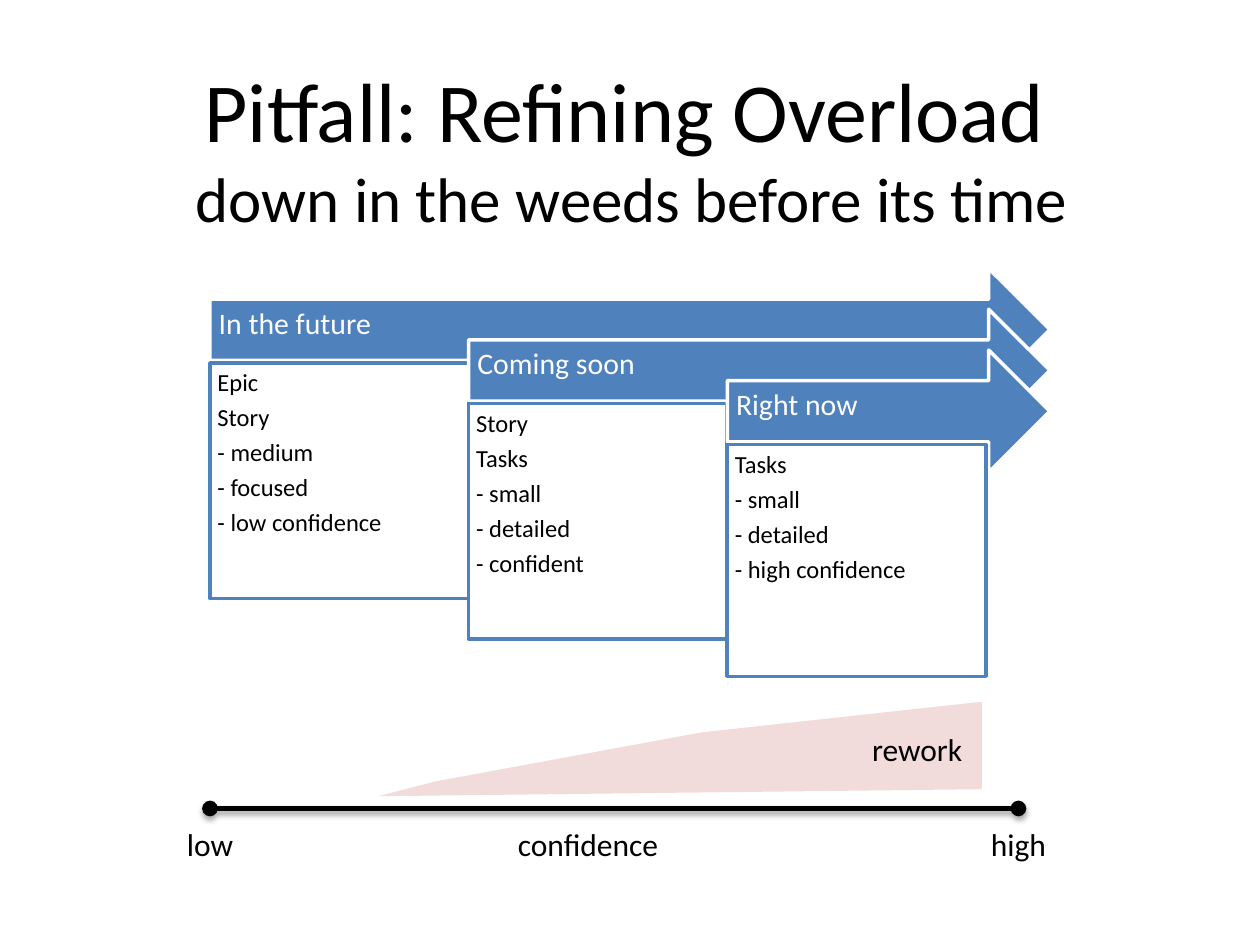
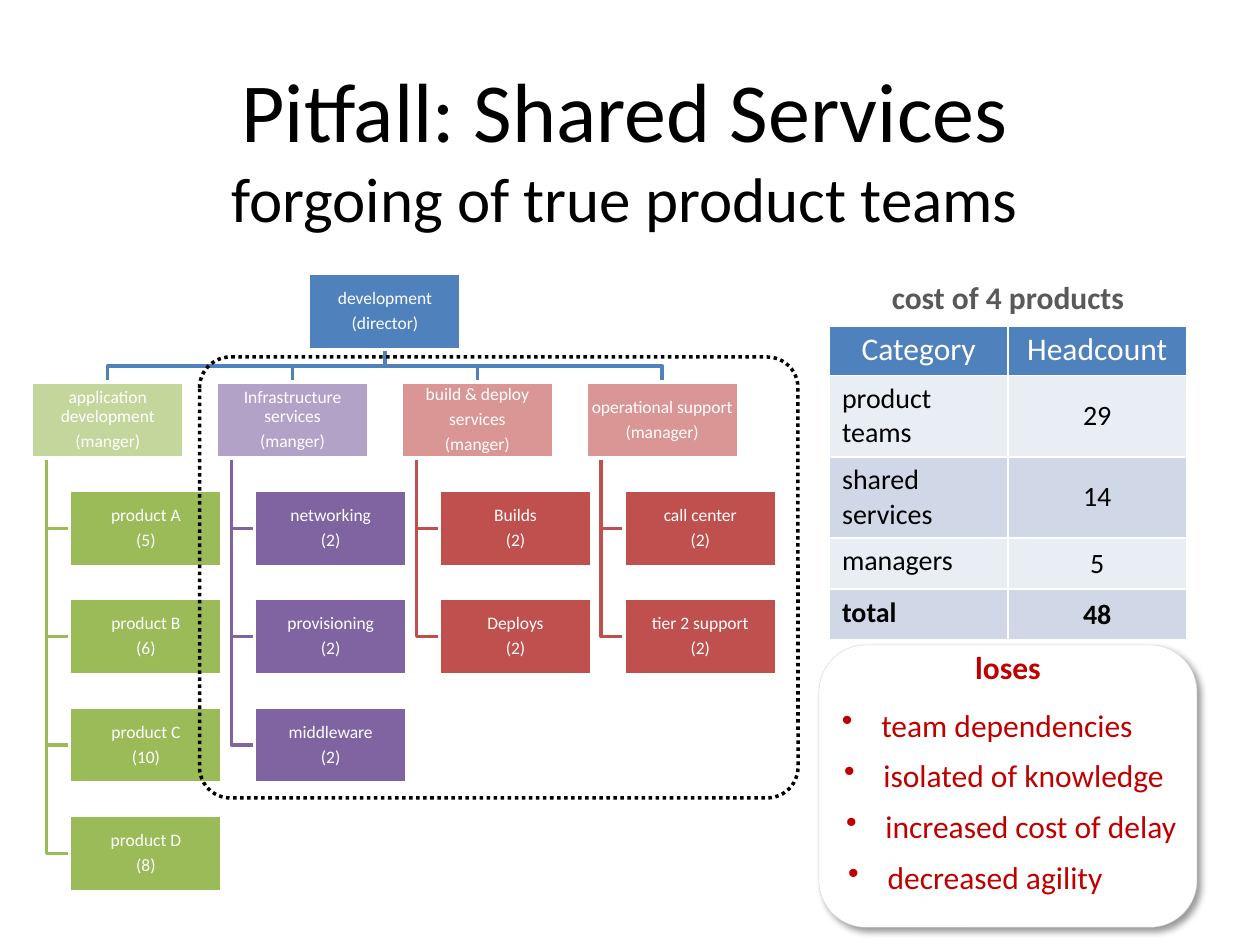
from lxml.etree import SubElement
from pptx import Presentation
from pptx.dml.color import RGBColor
from pptx.enum.dml import MSO_LINE
from pptx.enum.shapes import MSO_CONNECTOR, MSO_SHAPE
from pptx.enum.text import MSO_ANCHOR, MSO_AUTO_SIZE, PP_ALIGN
from pptx.oxml.ns import qn
from pptx.util import Pt

BLACK, WHITE, BLUE = "000000", "FFFFFF", "4F81BD"
GREEN, PURPLE, RED, DEEP = "9BBB59", "8064A2", "C0504D", "C00000"
LEFT, MID, RIGHT = PP_ALIGN.LEFT, PP_ALIGN.CENTER, PP_ALIGN.RIGHT


def rgb(code):
    return RGBColor.from_string(code)


def paint(fill, code):
    if code:
        fill.solid()
        fill.fore_color.rgb = rgb(code)
    else:
        fill.background()


class Deck:
    face = "Calibri"

    def __init__(self):
        self.prs = Presentation()
        self.prs.slide_width, self.prs.slide_height = Pt(720), Pt(540)
        self.slide = None

    def page(self, head, sub):
        """Start a slide with its two-line title."""
        self.slide = self.prs.slides.add_slide(self.prs.slide_layouts[5])
        title = self.slide.shapes.title
        title.left, title.top, title.width, title.height = map(Pt, (36, 30, 642, 109))
        frame = title.text_frame
        frame.auto_size = MSO_AUTO_SIZE.NONE
        self.words(frame, [head, sub], 48, align=MID)
        frame.paragraphs[1].font.size = Pt(36)

    def style(self, para, size, color=BLACK, bold=False, align=LEFT):
        para.alignment = align
        font = para.font
        font.name, font.size, font.bold = self.face, Pt(size), bold
        font.color.rgb = rgb(color)

    def words(self, frame, lines, size, color=BLACK, bold=False, align=LEFT,
              anchor=MSO_ANCHOR.TOP, inset=None, loose=False, bullet=False):
        frame.word_wrap = True
        frame.vertical_anchor = anchor
        if inset:
            (frame.margin_left, frame.margin_top,
             frame.margin_right, frame.margin_bottom) = map(Pt, inset)
        for i, line in enumerate(lines):
            para = frame.add_paragraph() if i else frame.paragraphs[0]
            para.text = line
            if loose:
                para.line_spacing = 0.9
                para.space_after = Pt(0.35 * size)
            if bullet:
                props = para._p.get_or_add_pPr()
                props.set("marL", str(Pt(22.5)))
                props.set("indent", str(-Pt(22.5)))
                SubElement(props, qn("a:buChar"), char="•")
            self.style(para, size, color, bold, align)

    def label(self, x, y, w, line, size=18, **look):
        box = self.slide.shapes.add_textbox(Pt(x), Pt(y), Pt(w), Pt(29))
        self.words(box.text_frame, [line], size, **look)

    def dress(self, shape, fill, line, width):
        shape.shadow.inherit = False
        paint(shape.fill, fill)
        paint(shape.line.fill, line)
        if line:
            shape.line.width = Pt(width)
        return shape

    def shape(self, kind, x, y, w, h, fill, line, width=2):
        shape = self.slide.shapes.add_shape(kind, Pt(x), Pt(y), Pt(w), Pt(h))
        return self.dress(shape, fill, line, width)

    def outline(self, points, fill=None, line=None, width=2):
        """Filled outlines are closed, the rest stay open."""
        first, *rest = [(Pt(x), Pt(y)) for x, y in points]
        form = self.slide.shapes.build_freeform(*first)
        form.add_line_segments(rest, close=bool(fill))
        return self.dress(form.convert_to_shape(), fill, line, width)

    def shade(self, shape, alpha, blur, dist, angle):
        props = shape._element.spPr
        glow = props.find(qn("a:effectLst"))
        if glow is None:
            glow = SubElement(props, qn("a:effectLst"))
        drop = SubElement(glow, qn("a:outerShdw"), blurRad=str(Pt(blur)),
                          dist=str(Pt(dist)), dir=str(angle * 60000),
                          rotWithShape="0")
        tint = SubElement(drop, qn("a:srgbClr"), val=BLACK)
        SubElement(tint, qn("a:alpha"), val=str(alpha * 1000))

    def scale(self, x1, x2, y):
        """Draw a level line with a dot at each end."""
        line = self.slide.shapes.add_connector(
            MSO_CONNECTOR.STRAIGHT, Pt(x1), Pt(y), Pt(x2), Pt(y))
        paint(line.line.fill, BLACK)
        line.line.width = Pt(3)
        for end in ("a:headEnd", "a:tailEnd"):
            SubElement(line.line._get_or_add_ln(), qn(end), type="oval")
        self.shade(line, 35, 3.1, 1.8, 90)

    def cell(self, cell, line, fill, size, base=1, **look):
        props = cell._tc.get_or_add_tcPr()
        for side, width in zip("LRTB", (1, 1, 1, base)):
            edge = SubElement(props, qn(f"a:ln{side}"), w=str(Pt(width)))
            tint = SubElement(edge, qn("a:solidFill"))
            SubElement(tint, qn("a:srgbClr"), val=WHITE)
        paint(cell.fill, fill)
        cell.text = line
        self.style(cell.text_frame.paragraphs[0], size, **look)

    def table(self, x, y, wide, tall, head, names, rows):
        grid = self.slide.shapes.add_table(
            len(rows) + 2, 2, Pt(x), Pt(y), Pt(2 * wide), Pt(tall * (len(rows) + 2))).table
        grid.first_row = grid.horz_banding = False
        for col in grid.columns:
            col.width = Pt(wide)
        for row in grid.rows:
            row.height = Pt(tall)
        # Heading across both columns, then column names
        grid.cell(0, 0).merge(grid.cell(0, 1))
        self.cell(grid.cell(0, 0), head, None, 18, base=3,
                  color="595959", bold=True, align=MID)
        for c, name in enumerate(names):
            self.cell(grid.cell(1, c), name, BLUE, 18, color=WHITE, align=MID)
        # Banded rows, the last one bold
        for r, row in enumerate(rows):
            fill = "D0D8E8" if r % 2 else "E9EDF4"
            for c, value in enumerate(row):
                self.cell(grid.cell(r + 2, c), value, fill, 16,
                          bold=r == len(rows) - 1, align=MID if c else LEFT)
            grid.cell(r + 2, 1).vertical_anchor = MSO_ANCHOR.MIDDLE


def refine(deck):
    deck.page("Pitfall: Refining Overload", " down in the weeds before its time")

    # Stages: an arrow with a card below, each a step further on
    stages = [
        ("In the future", 134.6, ["Epic", "Story", "- medium", "- focused", "- low confidence"]),
        ("Coming soon", 134.6, ["Story", "Tasks", "- small", "- detailed", "- confident"]),
        ("Right now", 132.5, ["Tasks", "- small", "- detailed", "- high confidence"]),
    ]
    for i, (name, tall, items) in enumerate(stages):
        x, y = 120 + 147.8 * i, 153.4 + 23.3 * i
        arrow = deck.shape(MSO_SHAPE.RIGHT_ARROW, x, y, 600 - x, 70, BLUE, WHITE)
        deck.words(arrow.text_frame, [name], 17, WHITE, anchor=MSO_ANCHOR.MIDDLE,
                   inset=(5, 5, 20, 11), loose=True)
        card = deck.shape(MSO_SHAPE.RECTANGLE, x, y + 54, 147.8, tall, WHITE, BLUE)
        deck.words(card.text_frame, items, 14, inset=[4.3] * 4, loose=True)

    # Confidence scale
    deck.scale(120, 582, 462)
    for x, name in ((258, "confidence"), (42, "low"), (504, "high")):
        deck.label(x, 468, 156, name, align=MID, anchor=MSO_ANCHOR.MIDDLE)

    # Growing rework
    wedge = deck.outline([(249, 446.5), (401, 418.5), (561, 401), (561, 451), (216, 455)],
                         fill="F2DCDB")
    deck.words(wedge.text_frame, ["rework "], 18, align=RIGHT, anchor=MSO_ANCHOR.MIDDLE)


def share(deck):
    deck.page("Pitfall: Shared Services", "forgoing of true product teams")

    # Organisation chart
    wide, tall, step, drop, top = 87.1, 43.6, 105.6, 61.9, 156.3

    def box(x, row, fill, lines):
        shape = deck.shape(MSO_SHAPE.RECTANGLE, x, top + row * drop, wide, tall, fill, WHITE)
        deck.words(shape.text_frame, lines, 10, WHITE, align=MID,
                   anchor=MSO_ANCHOR.MIDDLE, inset=[0.7] * 4, loose=True)

    groups = [
        ("C3D69B", GREEN, ["application development", "(manger)"],
         [("product A", "(5)"), ("product B", "(6)"), ("product C", "(10)"), ("product D", "(8)")]),
        ("B3A2C7", PURPLE, ["Infrastructure services", "(manger)"],
         [("networking", "(2)"), ("provisioning", "(2)"), ("middleware", "(2)")]),
        ("D99694", RED, ["build & deploy", "services", "(manger)"],
         [("Builds", "(2)"), ("Deploys", "(2)")]),
        ("D99694", RED, ["operational support", "(manager)"],
         [("call center", "(2)"), ("tier 2 support", "(2)")]),
    ]
    chief = 18 + 1.5 * step
    for i, (pale, full, lead, teams) in enumerate(groups):
        x = 18 + i * step
        mid, root, bar = x + wide / 2, chief + wide / 2, top + (tall + drop) / 2
        deck.outline([(root, top + tall), (root, bar), (mid, bar), (mid, top + drop)], line=BLUE)
        for row, team in enumerate(teams, 2):
            y = top + row * drop + tall / 2
            deck.outline([(x + 8.7, top + drop + tall), (x + 8.7, y), (x + 21.8, y)], line=full)
            box(x + 21.8, row, full, team)
        box(x, 1, pale, lead)
    box(chief, 0, BLUE, ["development", "(director)"])

    # Headcount table
    deck.table(474, 156.3, 102, 29.2, "cost of 4 products", ["Category", "Headcount"],
               [("product teams", "29"), ("shared services", "14"),
                ("managers", "5"), ("total", "48")])

    # Losses panel
    panel = deck.shape(MSO_SHAPE.ROUNDED_RECTANGLE, 468, 368.6, 216, 161.3, WHITE, "D9D9D9", 0.25)
    deck.shade(panel, 40, 4, 3, 45)
    deck.label(474, 366.5, 204, "loses", color=DEEP, bold=True, align=MID)
    losses = ["team dependencies", "isolated of knowledge",
              "increased cost of delay", "decreased agility"]
    for i, loss in enumerate(losses):
        deck.label(474 + 1.2 * i, 399.6 + 29.1 * i, 204, loss, color=DEEP, bullet=True)

    # Dotted frame round the shared services
    frame = deck.shape(MSO_SHAPE.ROUNDED_RECTANGLE, 114, 204, 342, 252, None, BLACK)
    frame.adjustments[0] = 0.07
    frame.line.dash_style = MSO_LINE.ROUND_DOT


def main():
    deck = Deck()
    refine(deck)
    share(deck)
    deck.prs.save("out.pptx")


if __name__ == "__main__":
    main()
